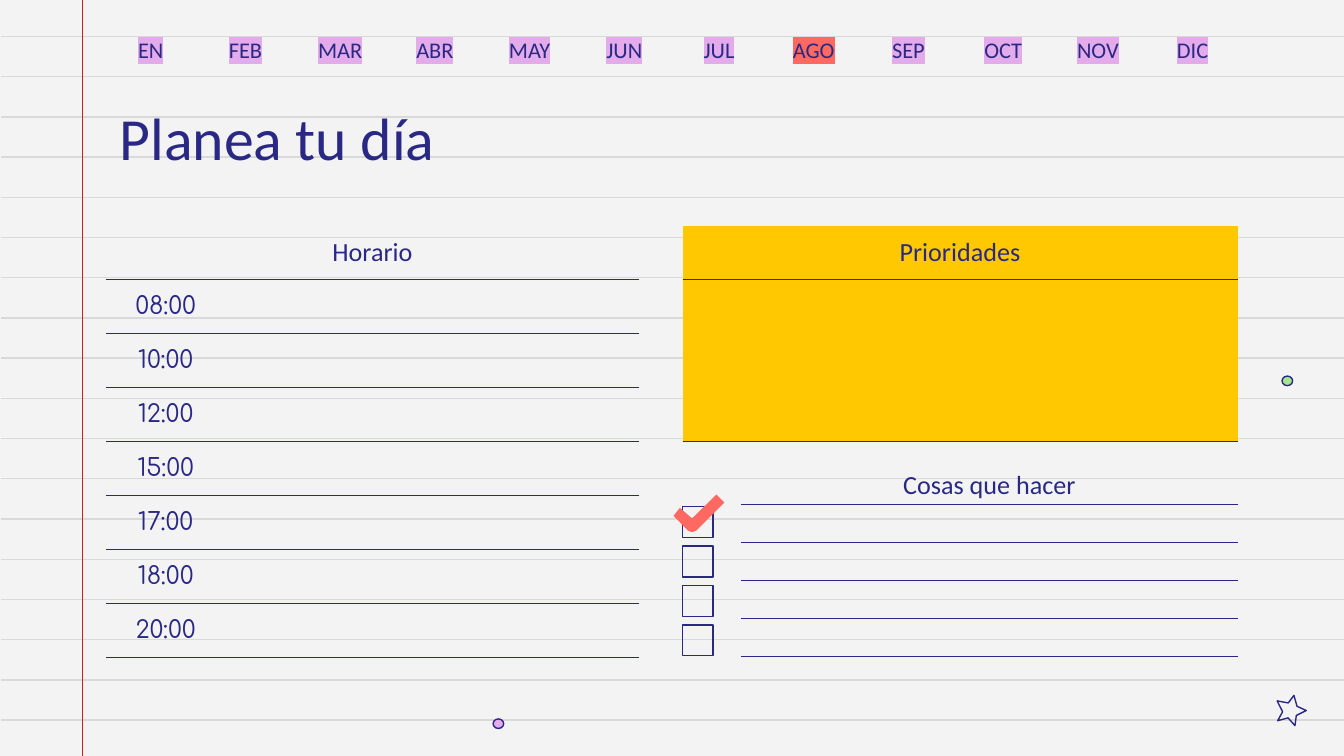
from lxml.etree import SubElement
from pptx import Presentation
from pptx.dml.color import RGBColor
from pptx.enum.shapes import MSO_CONNECTOR, MSO_SHAPE
from pptx.enum.text import MSO_ANCHOR, PP_ALIGN
from pptx.oxml.ns import qn
from pptx.util import Cm, Pt

PAPER = RGBColor(0xF3, 0xF3, 0xF3)
RULE = RGBColor(0xD9, 0xD9, 0xD9)
MARGIN = RGBColor(0xCB, 0x20, 0x27)
INK = RGBColor(0x29, 0x29, 0x85)
LILAC = RGBColor(0xE3, 0xAB, 0xEA)
CORAL = RGBColor(0xFF, 0x69, 0x62)
YELLOW = RGBColor(0xFF, 0xC8, 0x00)
GREEN = RGBColor(0xA6, 0xE5, 0x8B)
NO_STYLE = "{2D5ABB26-0587-4C30-8999-92F81FD0307C}"

TITLE = "Planea tu día"
MONTHS = ["EN", "FEB", "MAR", "ABR", "MAY", "JUN",
          "JUL", "AGO", "SEP", "OCT", "NOV", "DIC"]
CURRENT_MONTH = "AGO"
HOURS = ["08:00", "10:00", "12:00", "15:00", "17:00", "18:00", "20:00"]
PLANNERS = [
    {"heading": "Horario", "entries": HOURS, "left": 2.01, "top": 4.27,
     "columns": [2.24, 5.92, 1.9], "rows": [1.02] * 8, "split": 1, "fill": None},
    {"heading": "Prioridades", "entries": [""], "left": 12.9, "top": 4.27,
     "columns": [10.49], "rows": [1.02, 3.05], "split": 0, "fill": YELLOW},
    {"heading": "Cosas que hacer", "entries": [""] * 4, "left": 14, "top": 8.81,
     "columns": [2.08, 5.54, 1.78], "rows": [0.72] * 5, "split": 0, "fill": None},
]
DOTS = [(24.23, 7.11, GREEN), (9.32, 13.59, LILAC)]
STAR = [(24.5, 13.73), (24.33, 13.6), (24.17, 13.68), (24.21, 13.47), (24.09, 13.32),
        (24.3, 13.32), (24.41, 13.16), (24.46, 13.35), (24.66, 13.39), (24.5, 13.5)]
TICK = [(13.54, 9.35), (13.08, 9.8), (12.85, 9.6), (12.73, 9.75),
        (13, 10.03), (13.08, 10.06), (13.16, 10.03), (13.69, 9.5)]


def write(frame, text, *, size, font="Calibri", align=PP_ALIGN.CENTER, highlight=None):
    paragraph = frame.paragraphs[0]
    paragraph.alignment = align
    if not text:
        SubElement(paragraph._p, qn("a:endParaRPr"), sz=str(size * 100))
        return
    run = paragraph.add_run()
    run.text = text
    run.font.size = Pt(size)
    run.font.color.rgb = INK
    run.font.name = font
    if highlight is not None:
        properties = run._r.get_or_add_rPr()
        marker = SubElement(properties, qn("a:highlight"))
        SubElement(marker, qn("a:srgbClr"), val=str(highlight))
        properties.find(qn("a:solidFill")).addnext(marker)


def add_label(left, top, width, height, text, side_inset, **text_format):
    frame = slide.shapes.add_textbox(Cm(left), Cm(top), Cm(width), Cm(height)).text_frame
    frame.word_wrap = True
    frame.vertical_anchor = MSO_ANCHOR.MIDDLE
    frame.margin_left = frame.margin_right = Cm(side_inset)
    frame.margin_top = frame.margin_bottom = Cm(0.25)
    write(frame, text, **text_format)


def add_line(x1, y1, x2, y2, color):
    line = slide.shapes.add_connector(MSO_CONNECTOR.STRAIGHT, Cm(x1), Cm(y1), Cm(x2), Cm(y2))
    line.line.color.rgb = color
    line.line.width = Pt(0.75)
    SubElement(line._element.spPr, qn("a:effectLst"))


def paint(shape, fill=None, outline=None):
    shape.shadow.inherit = False
    if fill is None:
        shape.fill.background()
    else:
        shape.fill.solid()
        shape.fill.fore_color.rgb = fill
    if outline is None:
        shape.line.fill.background()
    else:
        shape.line.color.rgb = outline
        shape.line.width = Pt(0.75)


def add_outline(points):
    corners = [(Cm(x), Cm(y)) for x, y in points]
    builder = slide.shapes.build_freeform(*corners[0])
    builder.add_line_segments(corners[1:], close=True)
    return builder.convert_to_shape()


def style_cell(cell, fill):
    cell.margin_left = cell.margin_right = cell.margin_top = cell.margin_bottom = 0
    cell.vertical_anchor = MSO_ANCHOR.MIDDLE
    if fill is None:
        cell.fill.background()
    else:
        cell.fill.solid()
        cell.fill.fore_color.rgb = fill
    properties = cell._tc.get_or_add_tcPr()
    border = SubElement(properties, qn("a:lnB"), w=str(Pt(0.75)))
    ink = SubElement(border, qn("a:solidFill"))
    SubElement(ink, qn("a:srgbClr"), val=str(INK))
    properties.insert(0, border)


def add_planner(heading, entries, left, top, columns, rows, split, fill):
    table = slide.shapes.add_table(len(rows), len(columns), Cm(left), Cm(top),
                                   Cm(sum(columns)), Cm(sum(rows))).table
    table._tbl.tblPr.find(qn("a:tableStyleId")).text = NO_STYLE
    table.first_row = table.horz_banding = False
    for column, width in zip(table.columns, columns):
        column.width = Cm(width)
    for row, height in zip(table.rows, rows):
        row.height = Cm(height)
    for cell in table.iter_cells():
        style_cell(cell, fill)
    last = len(columns) - 1
    for index, text in enumerate([heading, *entries]):
        first = split if index else 0
        if first < last:
            table.cell(index, first).merge(table.cell(index, last))
        if index:
            write(table.cell(index, 0).text_frame, text, size=13, font="Comfortaa")
        else:
            write(table.cell(index, 0).text_frame, text, size=14)


presentation = Presentation()
presentation.slide_width = Cm(25.4)
presentation.slide_height = Cm(14.29)
slide = presentation.slides.add_slide(presentation.slide_layouts[6])
slide.background.fill.solid()
slide.background.fill.fore_color.rgb = PAPER

for index in range(18):
    y = 0.69 + 0.76 * index
    add_line(0.02, y, 25.42, y, RULE)
add_line(1.56, 0, 1.56, 14.29, MARGIN)

for left, top, color in DOTS:
    dot = slide.shapes.add_shape(MSO_SHAPE.OVAL, Cm(left), Cm(top), Cm(0.2), Cm(0.18))
    paint(dot, color, INK)
star = add_outline(STAR)
star.rotation = 153.3
paint(star, outline=INK)

add_label(2.01, 1.7, 21.41, 1.78, TITLE, 0.25, size=32, align=PP_ALIGN.LEFT)
for planner in PLANNERS:
    add_planner(**planner)

for index in range(4):
    checkbox = slide.shapes.add_shape(MSO_SHAPE.RECTANGLE, Cm(12.9),
                                      Cm(9.58 + 0.745 * index), Cm(0.58), Cm(0.58))
    paint(checkbox, outline=INK)
paint(add_outline(TICK), CORAL)

for index, month in enumerate(MONTHS):
    add_label(2.01 + 1.79 * index, 0.53, 1.68, 0.81, month, 0, size=12,
              highlight=CORAL if month == CURRENT_MONTH else LILAC)

presentation.save("out.pptx")
